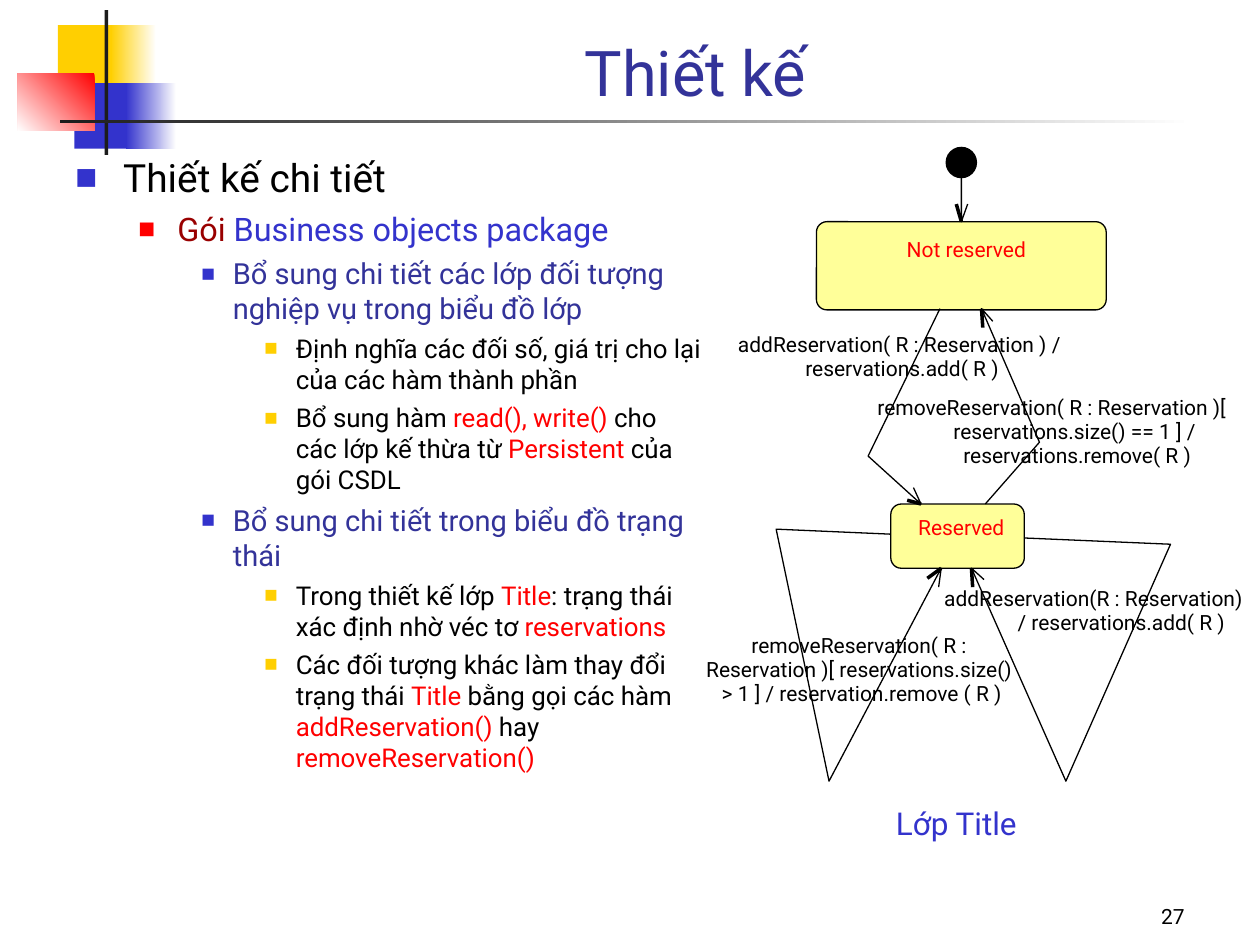
from lxml.etree import SubElement
from pptx import Presentation
from pptx.dml.color import RGBColor
from pptx.enum.shapes import MSO_CONNECTOR, MSO_SHAPE
from pptx.enum.text import MSO_ANCHOR as Anchor, PP_ALIGN as Align
from pptx.oxml.ns import qn
from pptx.util import Inches, Pt

FONT = "Roboto"
COLORS = {
    "yellow": "FFCF01", "blue": "3333CC", "red": "FF0000", "white": "FFFFFF",
    "dark": "1C1C1C", "navy": "333399", "maroon": "990000", "black": "000000",
    "state": "FFFF99",
}

# left, top, width, height, colours (two make a gradient), gradient angle
DECORATION = [
    (0.46, 0.2, 0.48, 0.52, ["yellow"], 0),
    (0.88, 0.2, 0.36, 0.52, ["white", "yellow"], 180),
    (0.59, 0.66, 0.46, 0.52, ["blue"], 0),
    (1, 0.66, 0.4, 0.52, ["white", "blue"], 180),
    (0.14, 0.58, 0.61, 0.46, ["red", "white"], 225),
    (0.83, 0.08, 0.03, 1.15, ["dark"], 0),
    (0.48, 0.95, 9, 0.03, ["white", "dark"], 180),
]

# per level: indent, hanging, space before, size, bullet colour, bullet percent
LEVELS = [
    (0.38, 0.38, 6, 22.2, "blue", 60),
    (0.81, 0.31, 5, 18.5, "red", 55),
    (1.25, 0.25, 4.5, 16.6, "blue", 50),
    (1.75, 0.25, 4, 14.8, "yellow", 55),
]
OUTLINE = [
    (0, [("Thiết kế chi tiết", "black")]),
    (1, [("Gói ", "maroon"), ("Business objects package", "blue")]),
    (2, [("Bổ sung chi tiết các lớp đối tượng nghiệp vụ trong biểu đồ lớp", "navy")]),
    (3, [("Định nghĩa các đối số, giá trị cho lại của các hàm thành phần", "black")]),
    (3, [("Bổ sung hàm ", "black"), ("read(), write()", "red"),
         (" cho các lớp kế thừa từ ", "black"), ("Persistent", "red"),
         (" của gói CSDL", "black")]),
    (2, [("Bổ sung chi tiết trong biểu đồ trạng thái", "navy")]),
    (3, [("Trong thiết kế lớp ", "black"), ("Title", "red"),
         (": trạng thái xác định nhờ véc tơ ", "black"), ("reservations", "red")]),
    (3, [("Các đối tượng khác làm thay đổi trạng thái ", "black"), ("Title", "red"),
         (" bằng gọi các hàm ", "black"), ("addReservation()", "red"),
         (" hay ", "black"), ("removeReservation()", "red")]),
]

# box, corner rounding, name, centre and top of the name
STATES = [
    ((6.48, 1.76, 2.3, 0.7), 0.119, "Not reserved", 7.67, 1.88),
    ((7.07, 4, 1.06, 0.51), 0.163, "Reserved", 7.63, 4.08),
]
# route to the arrow tip, then the ends of the two barbs
TRANSITIONS = [
    ([(7.63, 1.4), (7.63, 1.76)], (7.68, 1.62), (7.59, 1.62)),
    ([(7.82, 4), (8.25, 3.51), (7.79, 2.45)], (7.88, 2.55), (7.8, 2.6)),
    ([(8.13, 4.27), (9.29, 4.32), (8.46, 6.2), (7.71, 4.51)], (7.81, 4.6), (7.72, 4.66)),
    ([(7.07, 4.24), (6.16, 4.2), (6.58, 6.2), (7.47, 4.51)], (7.45, 4.66), (7.36, 4.59)),
    ([(7.46, 2.45), (6.89, 3.62), (7.31, 4)], (7.25, 3.87), (7.2, 3.97)),
]
# top of the first line, then centre and text of each line
LABELS = [
    (3.13, [(8.37, "removeReservation( R : Reservation )[ "),
            (8.55, "reservations.size() == 1 ] / "), (8.55, "reservations.remove( R )")]),
    (4.65, [(8.7, "addReservation(R : Reservation) "), (8.9, "/ reservations.add( R )")]),
    (5.02, [(6.84, "removeReservation( R : "),
            (6.84, "Reservation )[ reservations.size() "),
            (6.84, "> 1 ] / reservation.remove ( R )")]),
    (2.63, [(7.16, "addReservation( R : Reservation ) / "), (7.16, "reservations.add( R )")]),
]
LABEL_WIDTH, LINE_HEIGHT, LINE_PITCH = 3, 0.2, 0.19


def rgb(name):
    return RGBColor.from_string(COLORS[name])


def inches(*values):
    return [Inches(value) for value in values]


def style_font(font, size, color=None):
    font.name, font.size = FONT, Pt(size)
    if color:
        font.color.rgb = rgb(color)


def add_shape(slide, kind, box, color=None):
    """Add a shape without shadow or outline; a colour fills it."""
    shape = slide.shapes.add_shape(kind, *inches(*box))
    shape.shadow.inherit = False
    shape.line.fill.background()
    if color:
        shape.fill.solid()
        shape.fill.fore_color.rgb = rgb(color)
    return shape


def hairline(shape):
    shape.line.color.rgb = rgb("black")
    shape.line.width = Pt(0)


def add_text(slide, box, text, size, color, align=Align.CENTER, anchor=Anchor.TOP, inset=True):
    frame = slide.shapes.add_textbox(*inches(*box)).text_frame
    frame.word_wrap = True
    frame.vertical_anchor = anchor
    if not inset:
        frame.margin_left = frame.margin_right = frame.margin_top = frame.margin_bottom = 0
    paragraph = frame.paragraphs[0]
    paragraph.text, paragraph.alignment = text, align
    style_font(paragraph.font, size, color)


def add_label(slide, center, top, text, color="black"):
    box = (center - LABEL_WIDTH / 2, top, LABEL_WIDTH, LINE_HEIGHT)
    add_text(slide, box, text, 12, color, inset=False)


def add_decoration(slide):
    for *box, colors, angle in DECORATION:
        shape = add_shape(slide, MSO_SHAPE.RECTANGLE, box, colors[0])
        if len(colors) == 2:
            shape.fill.gradient()
            shape.fill.gradient_angle = angle
            for stop, color, position in zip(shape.fill.gradient_stops, colors, (0, 1)):
                stop.color.rgb, stop.position = rgb(color), position


def add_bullet(paragraph, indent, hanging, color, percent):
    properties = paragraph._p.get_or_add_pPr()
    properties.set("marL", str(Inches(indent)))
    properties.set("indent", str(-Inches(hanging)))
    SubElement(SubElement(properties, qn("a:buClr")), qn("a:srgbClr"), val=COLORS[color])
    SubElement(properties, qn("a:buSzPct"), val=str(percent * 1000))
    SubElement(properties, qn("a:buFont"), typeface=FONT)
    SubElement(properties, qn("a:buChar"), char="■")


def add_outline(slide):
    frame = slide.shapes.add_textbox(*inches(0.5, 1.17, 5.17, 5.92)).text_frame
    frame.word_wrap = True
    for index, (level, runs) in enumerate(OUTLINE):
        paragraph = frame.add_paragraph() if index else frame.paragraphs[0]
        indent, hanging, before, size, color, percent = LEVELS[level]
        paragraph.level = level
        add_bullet(paragraph, indent, hanging, color, percent)
        if index:
            paragraph.space_before = Pt(before)
        style_font(paragraph.font, size)
        for text, run_color in runs:
            run = paragraph.add_run()
            run.text = text
            run.font.color.rgb = rgb(run_color)


def add_transition(slide, route, barb, other_barb):
    builder = slide.shapes.build_freeform(*inches(*route[0]), scale=1.0)
    builder.add_line_segments([inches(*point) for point in route[1:] + [barb]], close=False)
    path = builder.convert_to_shape()
    path.shadow.inherit = False
    path.fill.background()
    hairline(path)
    line = slide.shapes.add_connector(
        MSO_CONNECTOR.STRAIGHT, *inches(*route[-1], *other_barb))
    hairline(line)
    SubElement(line._element.spPr, qn("a:effectLst"))


def add_state_diagram(slide):
    hairline(add_shape(slide, MSO_SHAPE.OVAL, (7.51, 1.17, 0.24, 0.24), "black"))
    for box, rounding, name, center, top in STATES:
        state = add_shape(slide, MSO_SHAPE.ROUNDED_RECTANGLE, box, "state")
        state.adjustments[0] = rounding
        hairline(state)
        add_label(slide, center, top, name, "red")
    for transition in TRANSITIONS:
        add_transition(slide, *transition)
    for top, lines in LABELS:
        for row, (center, text) in enumerate(lines):
            add_label(slide, center, top + row * LINE_PITCH, text)


def main():
    presentation = Presentation()
    presentation.slide_width, presentation.slide_height = inches(10, 7.5)
    slide = presentation.slides.add_slide(presentation.slide_layouts[5])
    add_decoration(slide)

    title = slide.shapes.title
    title.left, title.top, title.width, title.height = inches(1.26, 0.08, 8.52, 0.84)
    title.text_frame.vertical_anchor = Anchor.BOTTOM
    paragraph = title.text_frame.paragraphs[0]
    paragraph.text, paragraph.alignment = "Thiết kế", Align.CENTER
    style_font(paragraph.font, 36, "navy")

    add_outline(slide)
    add_state_diagram(slide)
    add_text(slide, (6.89, 6.33, 1.4, 0.4), "Lớp Title", 18, "blue")
    add_text(slide, (7.42, 6.92, 2.08, 0.5), "27", 12, "black", Align.RIGHT, Anchor.BOTTOM)
    presentation.save("out.pptx")


if __name__ == "__main__":
    main()
